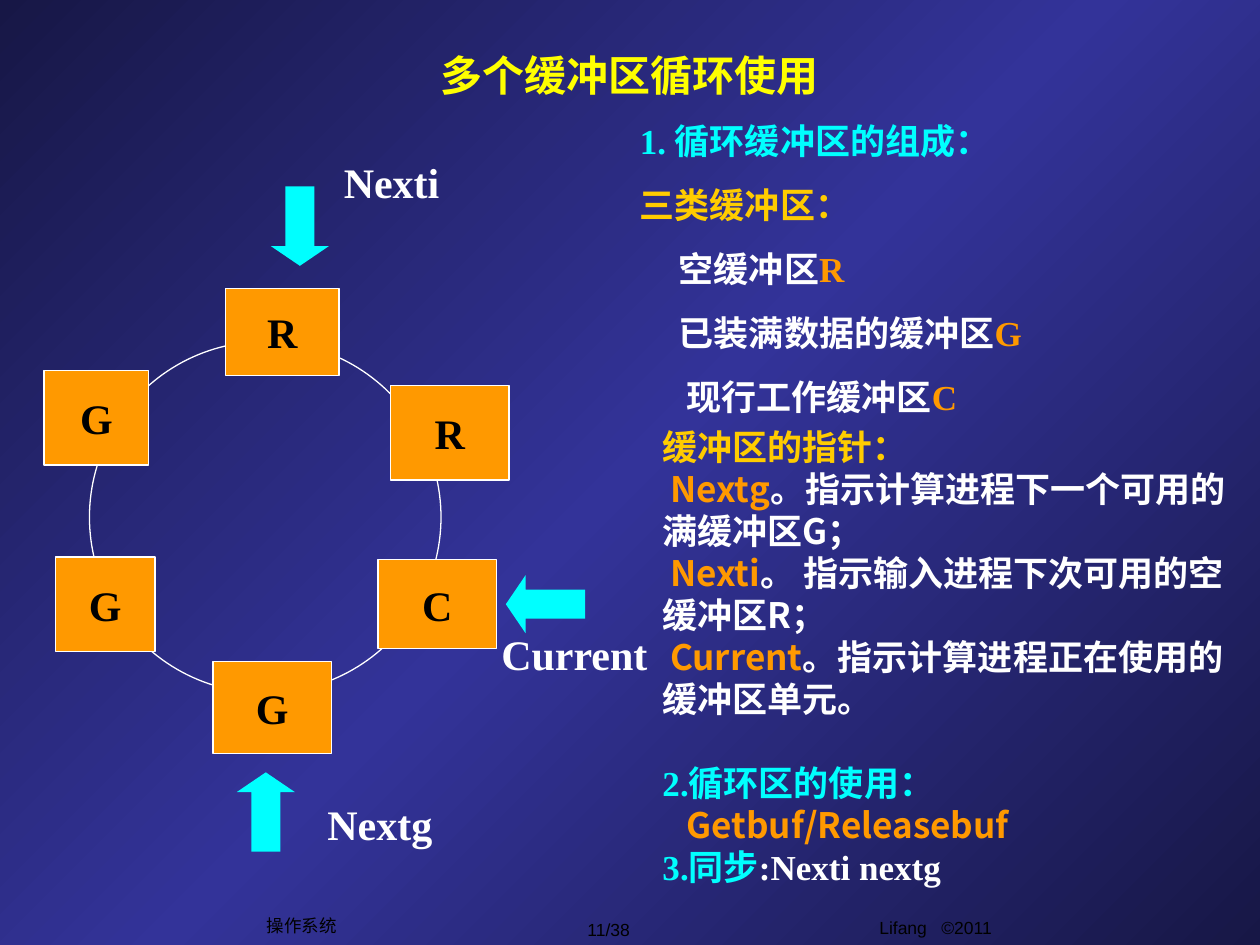
"""Build the slide on circular use of multiple buffers."""
from copy import deepcopy

from pptx import Presentation
from pptx.dml.color import RGBColor
from pptx.enum.shapes import MSO_SHAPE
from pptx.enum.text import MSO_ANCHOR, PP_ALIGN
from pptx.oxml.ns import qn
from pptx.util import Inches, Pt

OVAL, RECTANGLE, UP_ARROW = MSO_SHAPE.OVAL, MSO_SHAPE.RECTANGLE, MSO_SHAPE.UP_ARROW
TOP, MIDDLE = MSO_ANCHOR.TOP, MSO_ANCHOR.MIDDLE
LEFT, CENTER = PP_ALIGN.LEFT, PP_ALIGN.CENTER

THEME = {
    "edge": "171746", "glow": "333399", "white": "FFFFFF", "black": "000000",
    "title": "FFFF00", "heading": "00FFFF", "subheading": "FFCC00", "accent": "FF9900",
    "serif": "Times New Roman", "sans": "Noto Sans CJK SC", "footer": "Arial",
    "large": 24, "body": 20, "small": 10, "line_width": 0.75,
}

presentation = Presentation()
presentation.slide_width = Inches(10)
presentation.slide_height = Inches(7.5)
COLUMN = presentation.slide_width / 100
ROW = presentation.slide_height / 75
slide = presentation.slides.add_slide(presentation.slide_layouts[6])


def add_item(kind, column, row, columns, rows, fill=None, line=None):
    """Place a text box or preset shape on the slide grid."""
    box = [round(column * COLUMN), round(row * ROW), round(columns * COLUMN), round(rows * ROW)]
    if kind is None:
        return slide.shapes.add_textbox(*box)
    shape = slide.shapes.add_shape(kind, *box)
    shape.shadow.inherit = False
    for part, color in ((shape.fill, fill), (shape.line.fill, line)):
        if color:
            part.solid()
            part.fore_color.rgb = RGBColor.from_string(THEME[color])
        else:
            part.background()
    if line:
        shape.line.width = Pt(THEME["line_width"])
    return shape


def write(shape, paragraphs, size, bold=True, align=LEFT, anchor=TOP, wrap=True, spacing=None):
    """Fill a shape with (runs, space before, first-line indent) paragraphs."""
    frame = shape.text_frame
    frame_format = {"word_wrap": wrap, "vertical_anchor": anchor}
    for name, value in frame_format.items():
        setattr(frame, name, value)
    for index, (runs, before, indent) in enumerate(paragraphs):
        paragraph = frame.add_paragraph() if index else frame.paragraphs[0]
        paragraph_format = {"alignment": align, "line_spacing": spacing, "space_before": Pt(before)}
        for name, value in paragraph_format.items():
            setattr(paragraph, name, value)
        if indent:
            properties = paragraph._p.get_or_add_pPr()
            properties.set("marL", "0")
            properties.set("indent", str(round(indent * COLUMN)))
        for text, color, font in runs:
            run = paragraph.add_run()
            run.text = text
            run_format = {"name": THEME[font], "size": Pt(THEME[size]), "bold": bold}
            for name, value in run_format.items():
                setattr(run.font, name, value)
            run.font.color.rgb = RGBColor.from_string(THEME[color])
            east_asian = deepcopy(run.font._element.find(qn("a:latin")))
            east_asian.tag = qn("a:ea")
            east_asian.set("typeface", THEME["sans"])
            run.font._element.find(qn("a:latin")).addnext(east_asian)


background = slide.background.fill
background.gradient()
background.gradient_angle = 135
first_stop = background.gradient_stops[0]
first_stop.color.rgb = RGBColor.from_string(THEME["edge"])
stop_list = slide.background._cSld.find(".//" + qn("a:gsLst"))
for stop in list(stop_list)[1:]:
    stop_list.remove(stop)
for _ in range(2):
    stop_list.append(deepcopy(stop_list[0]))
for stop, position, color in zip(background.gradient_stops, (0, 0.5, 1), ("edge", "glow", "edge")):
    stop.position = position
    stop.color.rgb = RGBColor.from_string(THEME[color])

footers = [
    ("Lifang   ©2011", 58.4, 72.3, 31.7, 3.5, TOP),
    ("11/38", 43.2, 72.4, 10.2, 2.7, MIDDLE),
    ("操作系统", 20.2, 72.1, 7.5, 2.7, MIDDLE),
]
for text, *box, anchor in footers:
    write(add_item(None, *box), [([(text, "black", "footer")], 0, 0)], "small",
          bold=False, align=CENTER, anchor=anchor, wrap=anchor == TOP)

add_item(OVAL, 7.1, 27.1, 27.9, 27.9, line="white")
buffers = [
    ("R", 17.9, 22.9, 9, 6.9),
    ("G", 3.5, 29.4, 8.3, 7.5),
    ("G", 4.4, 44.2, 7.9, 7.5),
    ("G", 16.9, 52.5, 9.4, 7.3),
    ("C", 30, 44.4, 9.4, 7.1),
    ("R", 31, 30.6, 9.4, 7.5),
]
for letter, *box in buffers:
    buffer = add_item(RECTANGLE, *box, fill="accent", line="white")
    write(buffer, [([(letter, "black", "serif")], 0, 0)], "large",
          align=CENTER, anchor=MIDDLE, wrap=False)

pointers = [
    ("Nextg", 25, 62.9, 18.8, 61.3, 0),
    ("Current", 38.8, 49.4, 41, 44.8, 270),
    ("Nexti", 26.3, 11.9, 21.5, 14.8, 180),
]
for label, label_column, label_row, column, row, rotation in pointers:
    arrow = add_item(UP_ARROW, column, row, 4.6, 6.3, fill="heading")
    arrow.rotation = rotation
    arrow.adjustments[0], arrow.adjustments[1] = 0.5, 0.34
    write(add_item(None, label_column, label_row, 17.1, 5),
          [([(label, "white", "serif")], 0, 0)], "large")

write(add_item(None, 7.5, 3.3, 85, 5.2), [([("多个缓冲区循环使用", "title", "serif")], 0, 0)],
      "large", align=CENTER, anchor=MIDDLE)

composition = [
    ([("1. 循环缓冲区的组成：", "heading", "serif")], 0, 0),
    ([("三类缓冲区：", "subheading", "serif")], 12.5, 0),
]
for text, letter, indent in (("空缓冲区", "R", 3.1), ("已装满数据的缓冲区", "G", 3.1),
                             ("现行工作缓冲区", "C", 3.7)):
    composition.append(([(text, "white", "serif"), (letter, "accent", "serif")], 12.5, indent))
write(add_item(None, 49.8, 9, 37.3, 24.6), composition, "body", spacing=Pt(24))

usage = [([("缓冲区的指针：", "subheading", "sans")], 0, 0)]
for name, meaning in (("Nextg", "。指示计算进程下一个可用的满缓冲区G；"),
                      ("Nexti", "。 指示输入进程下次可用的空缓冲区R；"),
                      ("Current", "。指示计算进程正在使用的缓冲区单元。")):
    usage.append(([(name, "accent", "sans"), (meaning, "white", "sans")], 0, 0.6))
usage += [
    ([("2.循环区的使用：", "heading", "serif")], 24, 0),
    ([("Getbuf/Releasebuf", "accent", "sans")], 0, 1.9),
    ([("3.同步", "heading", "serif"), (":Nexti nextg", "white", "serif")], 0, 0),
]
write(add_item(None, 51.6, 33.3, 48.4, 41), usage, "body", spacing=Pt(24))

presentation.save("out.pptx")
